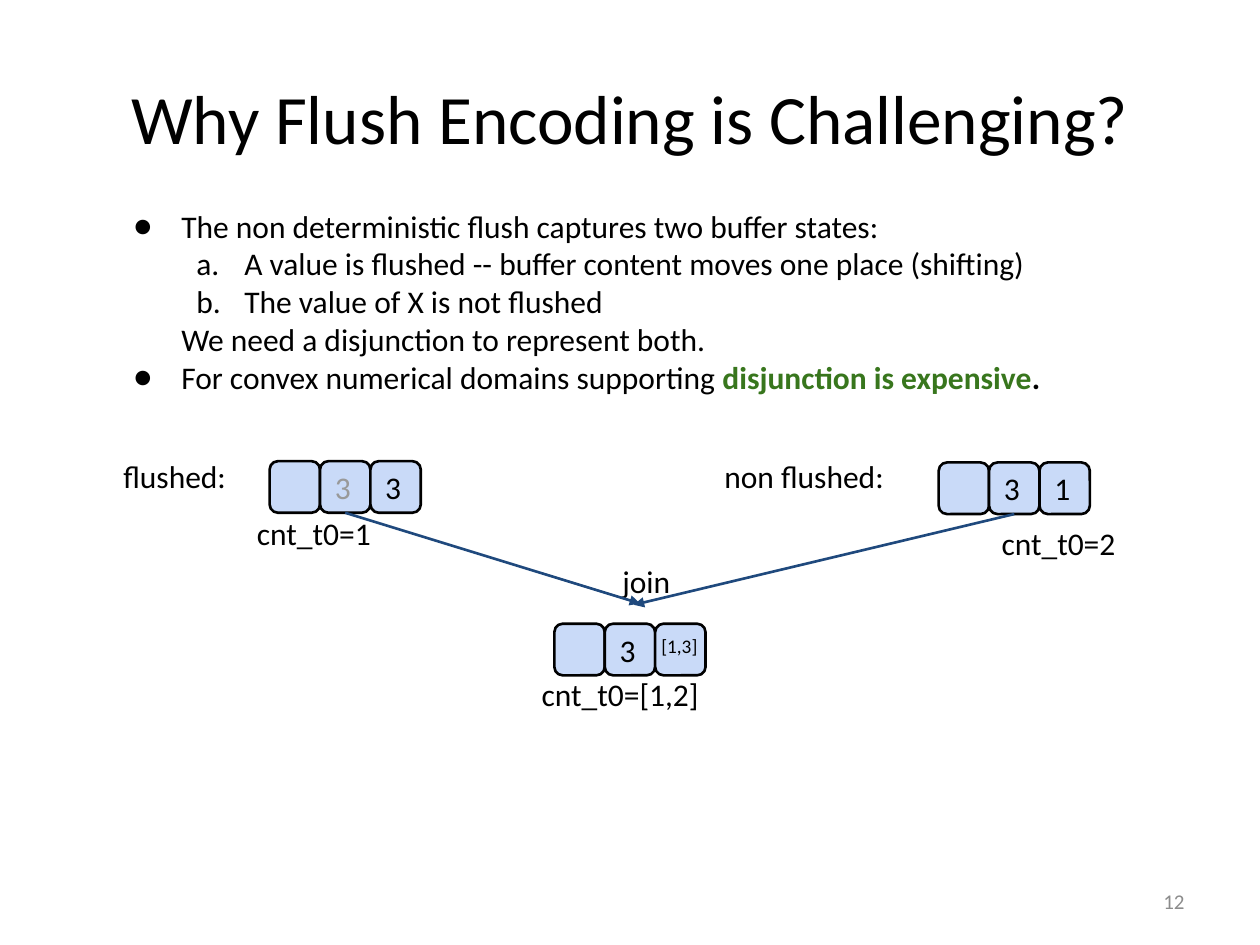
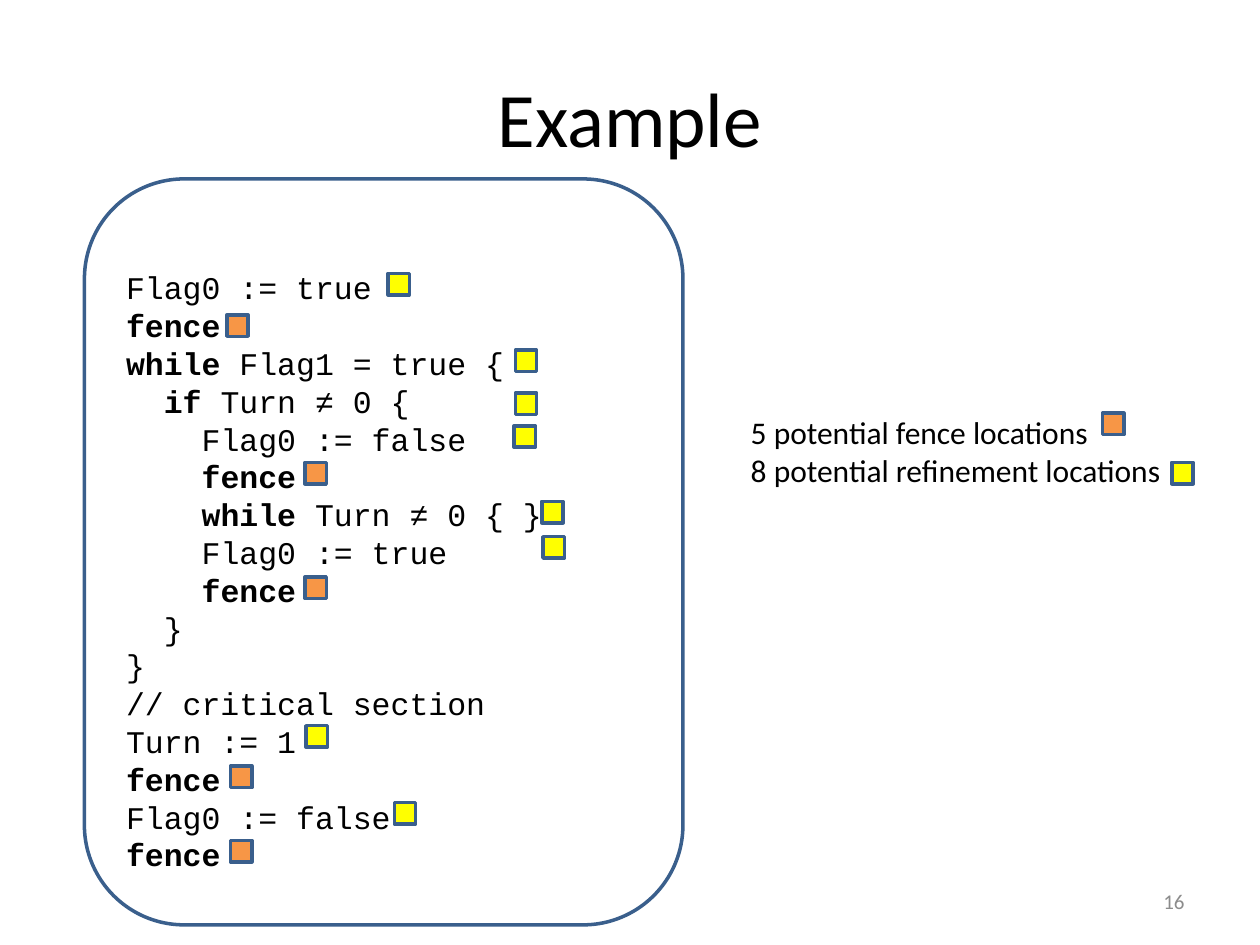
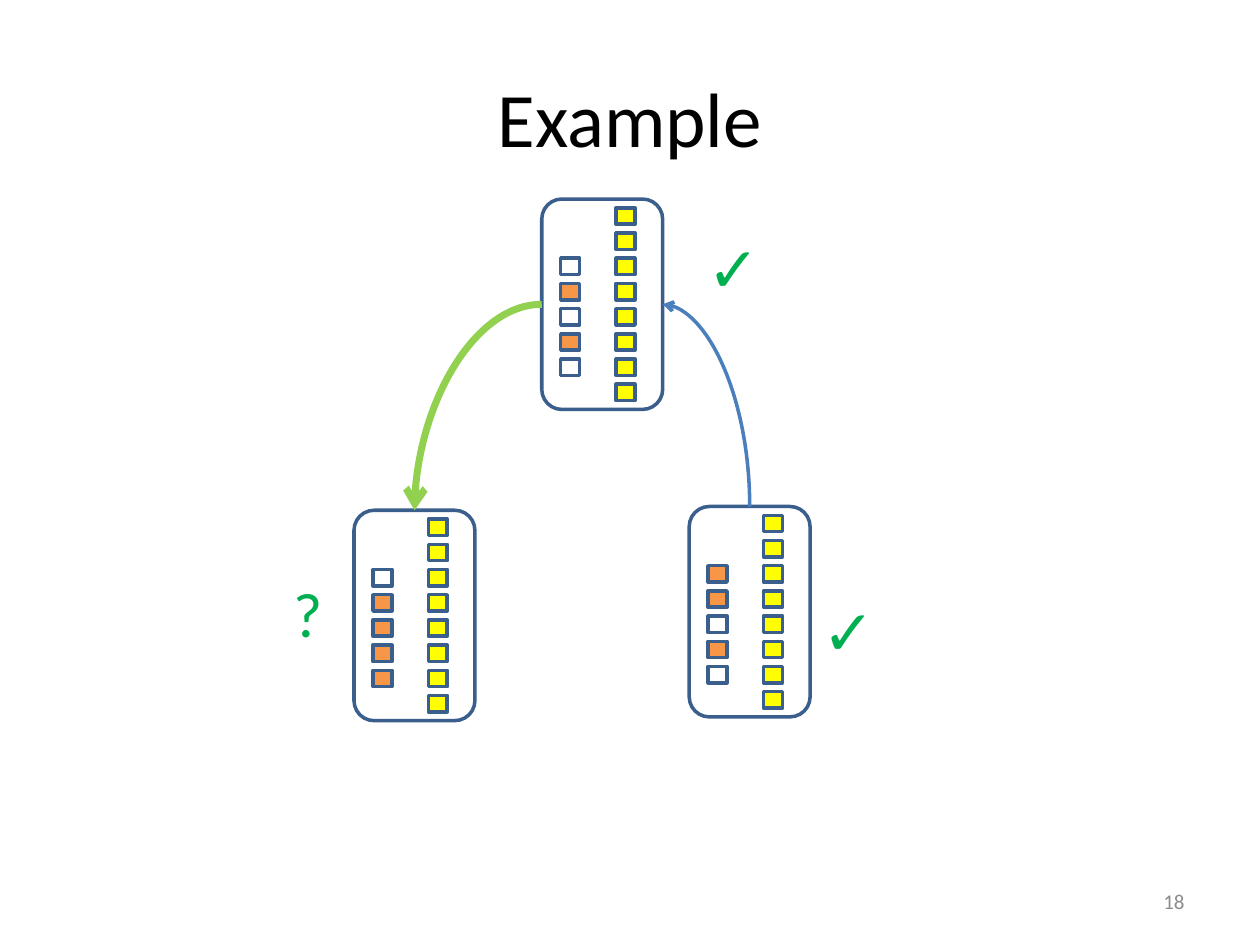
"""Build three slides on flush encoding and fence placement."""
from dataclasses import dataclass
from typing import NamedTuple, Optional

from lxml import etree
from pptx import Presentation
from pptx.dml.color import RGBColor
from pptx.enum.shapes import MSO_CONNECTOR, MSO_SHAPE
from pptx.enum.text import MSO_ANCHOR, PP_ALIGN
from pptx.oxml.ns import qn
from pptx.util import Emu, Pt

STRAIGHT, CURVE = MSO_CONNECTOR.STRAIGHT, MSO_CONNECTOR.CURVE
RECTANGLE, ROUNDED = MSO_SHAPE.RECTANGLE, MSO_SHAPE.ROUNDED_RECTANGLE
TOP, MIDDLE = MSO_ANCHOR.TOP, MSO_ANCHOR.MIDDLE
LEFT, CENTER, RIGHT = PP_ALIGN.LEFT, PP_ALIGN.CENTER, PP_ALIGN.RIGHT
SITE_TOP, SITE_LEFT, SITE_BOTTOM, SITE_RIGHT = range(4)
EMU_PER_PX = 9144


@dataclass(frozen=True)
class Theme:
    """Colours, fonts, type sizes and line widths of the deck."""

    text: RGBColor = RGBColor(0x00, 0x00, 0x00)
    page_number: RGBColor = RGBColor(0x8C, 0x8C, 0x8C)
    faded: RGBColor = RGBColor(0x99, 0x99, 0x99)
    emphasis: RGBColor = RGBColor(0x38, 0x76, 0x1D)
    verdict: RGBColor = RGBColor(0x00, 0xB0, 0x50)
    cell: RGBColor = RGBColor(0xC9, 0xDA, 0xF8)
    outline: RGBColor = RGBColor(0x3A, 0x5F, 0x8C)
    fence: RGBColor = RGBColor(0xF7, 0x96, 0x46)
    refinement: RGBColor = RGBColor(0xFF, 0xFF, 0x00)
    join_arrow: RGBColor = RGBColor(0x1F, 0x49, 0x7D)
    back_arrow: RGBColor = RGBColor(0x4B, 0x7E, 0xBC)
    next_arrow: RGBColor = RGBColor(0x92, 0xD0, 0x50)
    font: str = "Calibri"
    code_font: str = "Courier New"
    title_size: float = 44
    long_title_size: float = 39.6
    body_size: float = 18
    interval_size: float = 11
    number_size: float = 12
    verdict_size: float = 36
    code_leading: float = 21.6
    thin: float = 1.5
    medium: float = 2
    thick: float = 4


THEME = Theme()


class Box(NamedTuple):
    """Place and size in px."""

    left: int
    top: int
    width: int
    height: int


class Run(NamedTuple):
    """Stretch of text with one look."""

    text: str
    bold: bool = False
    color: Optional[RGBColor] = None


class Line(NamedTuple):
    """Paragraph with its indents in px and its bullet."""

    runs: tuple[Run, ...]
    margin: int = 0
    hanging: int = 0
    bullet: str = ""
    level: int = 0


@dataclass(frozen=True)
class TextStyle:
    """Look and placement of a block of text."""

    size: float = THEME.body_size
    color: RGBColor = THEME.text
    font: str = THEME.font
    align: PP_ALIGN = LEFT
    anchor: MSO_ANCHOR = TOP
    insets: tuple[int, int, int, int] = (10, 5, 10, 5)
    leading: Optional[float] = None
    wrap: bool = True


@dataclass(frozen=True)
class Label:
    """Short text in its box."""

    text: str
    box: Box


@dataclass(frozen=True)
class Buffer:
    """Row of three buffer cells."""

    left: int
    top: int
    values: tuple[str, str, str]
    middle_color: RGBColor = THEME.text


@dataclass(frozen=True)
class Card:
    """Program state: which of its fences are enabled."""

    left: int
    top: int
    fences: tuple[bool, ...]


PADDED = TextStyle(insets=(10, 10, 10, 10))
CELL_TEXT = TextStyle(anchor=MIDDLE, insets=(10, 10, 10, 10))
INTERVAL_TEXT = TextStyle(size=THEME.interval_size, insets=(10, 10, 10, 10))
CODE_TEXT = TextStyle(font=THEME.code_font, anchor=MIDDLE, insets=(10, 35, 10, 5),
                      leading=THEME.code_leading)
LEGEND_TEXT = TextStyle(wrap=False)
VERDICT_TEXT = TextStyle(size=THEME.verdict_size, color=THEME.verdict)
NUMBER_TEXT = TextStyle(size=THEME.number_size, color=THEME.page_number,
                        align=RIGHT, anchor=MIDDLE)

TITLE_BOX = Box(50, 30, 900, 125)
NUMBER_BOX = Box(717, 695, 233, 40)

BULLETS = (
    Line((Run("The non deterministic flush captures two buffer states:"),), 50, 38, "●"),
    Line((Run("A value is flushed -- buffer content moves one place (shifting)"),),
         100, 38, "a.", 1),
    Line((Run("The value of X is not flushed"),), 100, 38, "a.", 1),
    Line((Run("We need a disjunction to represent both."),), 50),
    Line((Run("For convex numerical domains supporting "),
          Run("disjunction is expensive", True, THEME.emphasis),
          Run(".", True)), 50, 38, "●"),
)
FLUSHED = Buffer(214, 366, ("", "3", "3"), THEME.faded)
NON_FLUSHED = Buffer(745, 367, ("", "3", "1"))
JOINED = Buffer(440, 495, ("", "3", ""))
CELL_WIDTH, CELL_HEIGHT = 40, 41
LABELS = (
    Label("flushed:", Box(88, 353, 112, 66)),
    Label("non flushed:", Box(565, 353, 189, 66)),
    Label("cnt_t0=1", Box(194, 398, 112, 66)),
    Label("cnt_t0=2", Box(785, 406, 112, 50)),
    Label("join", Box(484, 436, 85, 41)),
    Label("cnt_t0=[1,2]", Box(420, 526, 149, 40)),
)

CODE_INDENT = 30
CODE = (
    (0, "", "Flag0 := true"),
    (0, "fence", ""),
    (0, "while", " Flag1 = true {"),
    (1, "if", " Turn ≠ 0 {"),
    (2, "", "Flag0 := false"),
    (2, "fence", ""),
    (2, "while", " Turn ≠ 0 { }"),
    (2, "", "Flag0 := true"),
    (2, "fence", ""),
    (1, "", "}"),
    (0, "", "}"),
    (0, "", "// critical section"),
    (0, "", "Turn := 1"),
    (0, "fence", ""),
    (0, "", "Flag0 := false"),
    (0, "fence", ""),
)
FENCE_MARKS = ((180, 250), (242, 367), (242, 458), (183, 608), (183, 667), (875, 328))
REFINEMENT_MARKS = ((308, 217), (409, 278), (409, 312), (408, 338), (430, 398),
                    (431, 426), (243, 576), (313, 637), (930, 367))
MARK_SIZE = 17

ROOT = Card(430, 158, (False, True, False, True, False))
SUCCESSOR = Card(281, 405, (False, True, True, True, True))
PREDECESSOR = Card(547, 402, (True, True, False, True, False))
CARD_WIDTH, CARD_HEIGHT = 96, 167
SLOT_WIDTH, SLOT_HEIGHT, SLOT_STEP = 15, 13, 20
FENCE_OFFSET, REFINEMENT_OFFSET = (15, 47), (59, 7)
REFINEMENT_COUNT = 8
VERDICTS = (
    Label("✓", Box(552, 177, 57, 70)),
    Label("?", Box(223, 451, 50, 70)),
    Label("✓", Box(643, 465, 57, 70)),
)


def px(length: int) -> Emu:
    """Turn px into EMU."""
    return Emu(length * EMU_PER_PX)


def add_bullet(properties, mark: str) -> None:
    """Give a paragraph a character or letter bullet."""
    color = etree.SubElement(properties, qn("a:buClr"))
    etree.SubElement(color, qn("a:srgbClr"), val=str(THEME.text))
    etree.SubElement(properties, qn("a:buFont"), typeface=THEME.font)
    if mark == "a.":
        etree.SubElement(properties, qn("a:buAutoNum"), type="alphaLcPeriod")
    else:
        etree.SubElement(properties, qn("a:buChar"), char=mark)


def fill_text(frame, lines: tuple[Line, ...], style: TextStyle) -> None:
    """Write lines into a text frame."""
    frame.word_wrap = style.wrap
    frame.vertical_anchor = style.anchor
    (frame.margin_left, frame.margin_top,
     frame.margin_right, frame.margin_bottom) = map(px, style.insets)
    for index, line in enumerate(lines):
        paragraph = frame.add_paragraph() if index else frame.paragraphs[0]
        paragraph.alignment = style.align
        paragraph.level = line.level
        if style.leading:
            paragraph.line_spacing = Pt(style.leading)
        properties = paragraph._p.get_or_add_pPr()
        properties.set("marL", str(px(line.margin)))
        properties.set("indent", str(px(-line.hanging)))
        if line.bullet:
            add_bullet(properties, line.bullet)
        for part in line.runs:
            run = paragraph.add_run()
            run.text = part.text
            run.font.name = style.font
            run.font.size = Pt(style.size)
            run.font.bold = part.bold
            run.font.color.rgb = part.color or style.color


def add_text(slide, box: Box, lines: tuple[Line, ...], style: TextStyle) -> None:
    """Add a text box."""
    fill_text(slide.shapes.add_textbox(*map(px, box)).text_frame, lines, style)


def add_label(slide, label: Label, style: TextStyle) -> None:
    """Add a text box of one line."""
    add_text(slide, label.box, (Line((Run(label.text),)),), style)


def add_box(slide, kind: MSO_SHAPE, box: Box, fill: Optional[RGBColor] = None,
            outline: RGBColor = THEME.outline, weight: float = THEME.medium):
    """Add an outlined preset shape, filled if a colour is given."""
    shape = slide.shapes.add_shape(kind, *map(px, box))
    shape.shadow.inherit = False
    if fill is None:
        shape.fill.background()
    else:
        shape.fill.solid()
        shape.fill.fore_color.rgb = fill
    shape.line.color.rgb = outline
    shape.line.width = Pt(weight)
    return shape


def style_connector(connector, color: RGBColor, weight: float, end: str, head: str) -> None:
    """Set line, arrowhead and absence of shadow of a connector."""
    connector.line.color.rgb = color
    connector.line.width = Pt(weight)
    etree.SubElement(connector.line._get_or_add_ln(), qn(f"a:{end}"), type=head)
    etree.SubElement(connector._element.spPr, qn("a:effectLst"))


def add_join_arrow(slide, cell, end_left: int, end_top: int) -> None:
    """Draw an arrow from the bottom of a cell to the join."""
    connector = slide.shapes.add_connector(STRAIGHT, 0, 0, px(end_left), px(end_top))
    connector.begin_connect(cell, SITE_BOTTOM)
    style_connector(connector, THEME.join_arrow, THEME.thin, "tailEnd", "triangle")


def add_card_curve(slide, root, site: int, card, color: RGBColor,
                   weight: float, arrow_end: str) -> None:
    """Draw a quarter curve from a side of the root to the top of a card."""
    connector = slide.shapes.add_connector(CURVE, 0, 0, 0, 0)
    connector.begin_connect(root, site)
    connector.end_connect(card, SITE_TOP)
    connector._element.spPr.find(qn("a:prstGeom")).set("prst", "curvedConnector2")
    style_connector(connector, color, weight, arrow_end, "arrow")


def add_buffer(slide, buffer: Buffer):
    """Draw a buffer and return its middle cell."""
    cells = []
    colors = (THEME.text, buffer.middle_color, THEME.text)
    for index, (value, color) in enumerate(zip(buffer.values, colors)):
        box = Box(buffer.left + index * CELL_WIDTH, buffer.top, CELL_WIDTH, CELL_HEIGHT)
        cell = add_box(slide, ROUNDED, box, THEME.cell, THEME.text, THEME.thin)
        if value:
            fill_text(cell.text_frame, (Line((Run(value, color=color),)),), CELL_TEXT)
        cells.append(cell)
    return cells[1]


def add_slots(slide, card: Card, offset: tuple[int, int],
              fills: list[Optional[RGBColor]]) -> None:
    """Draw a column of slots inside a card."""
    for index, fill in enumerate(fills):
        add_box(slide, RECTANGLE, Box(card.left + offset[0],
                                      card.top + offset[1] + index * SLOT_STEP,
                                      SLOT_WIDTH, SLOT_HEIGHT), fill)


def add_card(slide, card: Card):
    """Draw a card with its fences and refinements."""
    frame = add_box(slide, ROUNDED, Box(card.left, card.top, CARD_WIDTH, CARD_HEIGHT))
    add_slots(slide, card, FENCE_OFFSET,
              [THEME.fence if enabled else None for enabled in card.fences])
    add_slots(slide, card, REFINEMENT_OFFSET, [THEME.refinement] * REFINEMENT_COUNT)
    return frame


def add_slide(presentation, title: str, number: str, size: float = THEME.title_size):
    """Add a slide with its title and page number."""
    slide = presentation.slides.add_slide(presentation.slide_layouts[6])
    add_label(slide, Label(title, TITLE_BOX),
              TextStyle(size=size, align=CENTER, anchor=MIDDLE))
    add_label(slide, Label(number, NUMBER_BOX), NUMBER_TEXT)
    return slide


def build_flush_slide(presentation) -> None:
    """Build the slide on joining flush states."""
    slide = add_slide(presentation, "Why Flush Encoding is Challenging?", "12",
                      THEME.long_title_size)
    add_text(slide, Box(84, 154, 819, 50), BULLETS, PADDED)
    flushed_cell = add_buffer(slide, FLUSHED)
    non_flushed_cell = add_buffer(slide, NON_FLUSHED)
    add_buffer(slide, JOINED)
    add_label(slide, Label("[1,3]", Box(515, 494, 51, 31)), INTERVAL_TEXT)
    for label in LABELS:
        add_label(slide, label, PADDED)
    add_join_arrow(slide, non_flushed_cell, 503, 480)
    add_join_arrow(slide, flushed_cell, 508, 479)


def build_code_slide(presentation) -> None:
    """Build the slide with the annotated program."""
    slide = add_slide(presentation, "Example", "16")
    panel = add_box(slide, ROUNDED, Box(67, 142, 475, 592))
    lines = tuple(
        Line(tuple(run for run in (Run(keyword, True), Run(rest)) if run.text),
             depth * CODE_INDENT)
        for depth, keyword, rest in CODE)
    fill_text(panel.text_frame, lines, CODE_TEXT)
    legend = (Line((Run("5 potential fence locations"),)),
              Line((Run("8 potential refinement locations"),)))
    add_text(slide, Box(586, 323, 350, 71), legend, LEGEND_TEXT)
    for marks, fill in ((FENCE_MARKS, THEME.fence), (REFINEMENT_MARKS, THEME.refinement)):
        for left, top in marks:
            add_box(slide, RECTANGLE, Box(left, top, MARK_SIZE, MARK_SIZE), fill)


def build_search_slide(presentation) -> None:
    """Build the slide with the search over fence sets."""
    slide = add_slide(presentation, "Example", "18")
    root, successor, predecessor = (
        add_card(slide, card) for card in (ROOT, SUCCESSOR, PREDECESSOR))
    add_card_curve(slide, root, SITE_RIGHT, predecessor, THEME.back_arrow,
                   THEME.medium, "headEnd")
    add_card_curve(slide, root, SITE_LEFT, successor, THEME.next_arrow,
                   THEME.thick, "tailEnd")
    for verdict in VERDICTS:
        add_label(slide, verdict, VERDICT_TEXT)


def main() -> None:
    """Build and save the presentation."""
    presentation = Presentation()
    presentation.slide_width, presentation.slide_height = px(1000), px(750)
    build_flush_slide(presentation)
    build_code_slide(presentation)
    build_search_slide(presentation)
    presentation.save("out.pptx")


if __name__ == "__main__":
    main()
